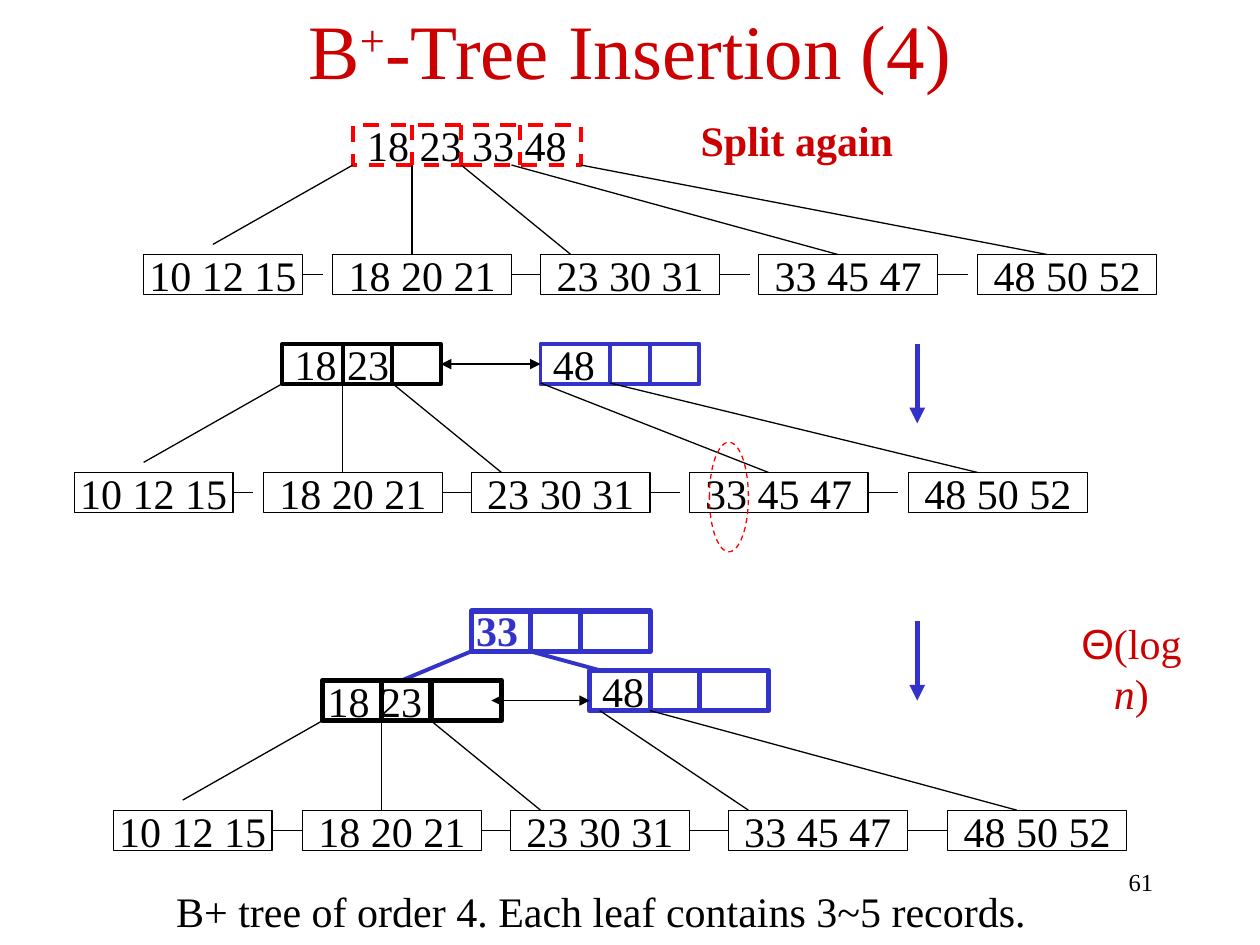
from lxml.etree import SubElement
from pptx import Presentation
from pptx.dml.color import RGBColor
from pptx.enum.dml import MSO_LINE
from pptx.enum.shapes import MSO_CONNECTOR, MSO_SHAPE
from pptx.enum.text import MSO_ANCHOR, PP_ALIGN
from pptx.oxml.ns import qn
from pptx.util import Inches, Pt

BLACK = RGBColor(0x00, 0x00, 0x00)
BLUE = RGBColor(0x33, 0x33, 0xCC)
RED = RGBColor(0xFF, 0x00, 0x00)
CRIMSON = RGBColor(0xCC, 0x00, 0x00)
FACE = "Times New Roman"

HIGH = 0.32  # height of every node
LEAVES = [  # offset in the row, width, keys
    (0, 1.26, "10 12 15"),
    (1.5, 1.42, "18 20 21"),
    (3.15, 1.42, "23 30 31"),
    (4.88, 1.42, "33 45 47"),
    (6.62, 1.42, "48 50 52"),
]
STUBS = [0.16, None, 0.24, 0.24]  # None: the link reaches the next leaf
FULL = [None] * 4


def write(shape, parts, size=24, color=BLACK, bold=False,
          align=PP_ALIGN.CENTER, wrap=False, anchor=MSO_ANCHOR.TOP):
    frame = shape.text_frame
    frame.word_wrap = wrap
    frame.vertical_anchor = anchor
    para = frame.paragraphs[0]
    para.alignment = align
    font = para.font
    font.name, font.size, font.bold = FACE, Pt(size), bold
    font.color.rgb = color
    runs = []
    for part in parts:
        run = para.add_run()
        run.text = part
        runs.append(run)
    return runs


def label(slide, left, top, width, parts, height=0.5, **style):
    box = slide.shapes.add_textbox(
        Inches(left), Inches(top), Inches(width), Inches(height))
    return write(box, parts, **style)


def outline(slide, kind, left, top, width, height, color, weight, dash=False):
    shape = slide.shapes.add_shape(
        kind, Inches(left), Inches(top), Inches(width), Inches(height))
    shape.shadow.inherit = False
    shape.fill.background()
    shape.line.color.rgb = color
    shape.line.width = Pt(weight)
    if dash:
        shape.line.dash_style = MSO_LINE.DASH
    return shape


def line(slide, x1, y1, x2, y2, color=BLACK, weight=0.75, dash=False, ends=()):
    link = slide.shapes.add_connector(
        MSO_CONNECTOR.STRAIGHT, Inches(x1), Inches(y1), Inches(x2), Inches(y2))
    link.line.color.rgb = color
    link.line.width = Pt(weight)
    if dash:
        link.line.dash_style = MSO_LINE.DASH
    props = link._element.spPr
    for end in ends:
        SubElement(props.find(qn("a:ln")), qn(f"a:{end}"), type="triangle")
    SubElement(props, qn("a:effectLst"))
    return link


def node(slide, left, top, width, text="", cuts=(), color=BLACK, weight=0.75,
         dash=False, inset=None):
    """Key box; cuts are divider offsets, inset makes the text left-aligned."""
    box = outline(slide, MSO_SHAPE.RECTANGLE, left, top, width, HIGH,
                  color, weight, dash)
    for cut in cuts:
        line(slide, left + cut, top, left + cut, top + HIGH,
             color, weight, dash)
    if text:
        flush = inset is not None
        write(box, [text], wrap=flush, anchor=MSO_ANCHOR.MIDDLE,
              align=PP_ALIGN.LEFT if flush else PP_ALIGN.CENTER)
        if flush:
            box.text_frame.margin_left = Inches(inset)
    return box


def base(slide, left, top, right, stubs):
    """Linked leaves and edges; right holds the edges of the last two leaves."""
    boxes = [node(slide, left + x, top, width, text)
             for x, width, text in LEAVES]
    mid = top + HIGH / 2
    for i, stub in enumerate(stubs):
        x, width, _ = LEAVES[i]
        start = left + x + width
        end = left + LEAVES[i + 1][0] if stub is None else start + stub
        link = line(slide, start, mid, end, mid)
        link.begin_connect(boxes[i], 3)
        if stub is None:
            link.end_connect(boxes[i + 1], 1)
    edges = [(1.66, -0.71, 0.55, -0.08), (2.13, -0.71, 2.13, 0),
             (2.52, -0.71, 3.39, 0), *right]
    for x1, y1, x2, y2 in edges:
        line(slide, left + x1, top + y1, left + x2, top + y2)


def full(slide, left, top):
    """Overfull root above five leaves."""
    node(slide, left + 1.66, top - 1.03, 1.81, "18 23 33 48",
         (0.47, 0.86, 1.33), RED, 2.25, dash=True)
    base(slide, left, top,
         [(2.92, -0.71, 5.51, 0), (3.47, -0.71, 7.17, 0)], STUBS)


def split(slide, left, top):
    """Root split into two siblings."""
    low = node(slide, left + 1.65, top - 1.02, 1.26, "18 23", (0.48, 0.87),
               BLACK, 2.25, inset=0.1)
    high = node(slide, left + 3.7, top - 1.02, 1.26, "48", (0.55, 0.87),
                BLUE, 2.25, inset=0.1)
    pair = line(slide, left + 2.91, top - 0.86, left + 3.7, top - 0.86,
                ends=("headEnd", "tailEnd"))
    pair.begin_connect(low, 3)
    pair.end_connect(high, 1)
    base(slide, left, top,
         [(3.7, -0.71, 5.51, 0), (4.25, -0.71, 7.17, 0)], STUBS)
    # Key that moves up
    outline(slide, MSO_SHAPE.OVAL, left + 5.04, top - 0.24, 0.31, 0.87,
            RED, 0.75, dash=True)


def grown(slide, left, top):
    """New root above the two siblings."""
    node(slide, left + 2.84, top - 1.58, 1.42, "", (0.47, 0.87), BLUE, 3)
    label(slide, left + 2.78, top - 1.68, 0.53, ["33"], color=BLUE, bold=True)
    for x1, y1, x2, y2 in [(2.29, -1.03, 2.84, -1.26),
                           (3.31, -1.26, 3.86, -1.11)]:
        line(slide, left + x1, top + y1, left + x2, top + y2, BLUE, 2.25)
    node(slide, left + 1.66, top - 1.03, 1.42, "18 23", (0.47, 0.86),
         BLACK, 3, inset=0.04)
    node(slide, left + 3.78, top - 1.11, 1.42, "48", (0.48, 0.87),
         BLUE, 3, inset=0.1)
    line(slide, left + 3, top - 0.87, left + 3.78, top - 0.87,
         ends=("headEnd", "tailEnd"))
    base(slide, left, top,
         [(3.86, -0.79, 5.04, 0), (4.26, -0.79, 7.17, 0)], FULL)


def notes(slide):
    """Title, remarks, step arrows and page number."""
    title = label(slide, 0.5, -0.11, 9, ["B", "+", "-Tree Insertion (4)"],
                  height=1, size=44, color=CRIMSON, wrap=True,
                  anchor=MSO_ANCHOR.MIDDLE)
    title[1]._r.get_or_add_rPr().set("baseline", "30000")
    label(slide, 5.46, 0.86, 1.73, ["Split again"], color=CRIMSON, bold=True)
    cost = label(slide, 8.31, 4.85, 1.34, ["Θ", "(log ", "n", ")"],
                 color=CRIMSON, wrap=True)
    cost[0].font.name = "Arial"
    cost[2].font.italic = True
    for top in (2.73, 4.93):
        line(slide, 7.28, top, 7.28, top + 0.63, BLUE, 3, ends=("tailEnd",))
    label(slide, 1.3, 6.98, 7.03,
          ["B+ tree of order 4. Each leaf contains 3~5 records."],
          align=PP_ALIGN.LEFT, wrap=True)
    label(slide, 7.17, 6.83, 2.08, ["61"], size=14,
          align=PP_ALIGN.RIGHT, wrap=True)


def main():
    deck = Presentation()
    deck.slide_width, deck.slide_height = Inches(10), Inches(7.5)
    slide = deck.slides.add_slide(deck.slide_layouts[6])
    notes(slide)
    full(slide, 1.14, 2.02)
    split(slide, 0.59, 3.75)
    grown(slide, 0.9, 6.43)
    deck.save("out.pptx")


if __name__ == "__main__":
    main()
